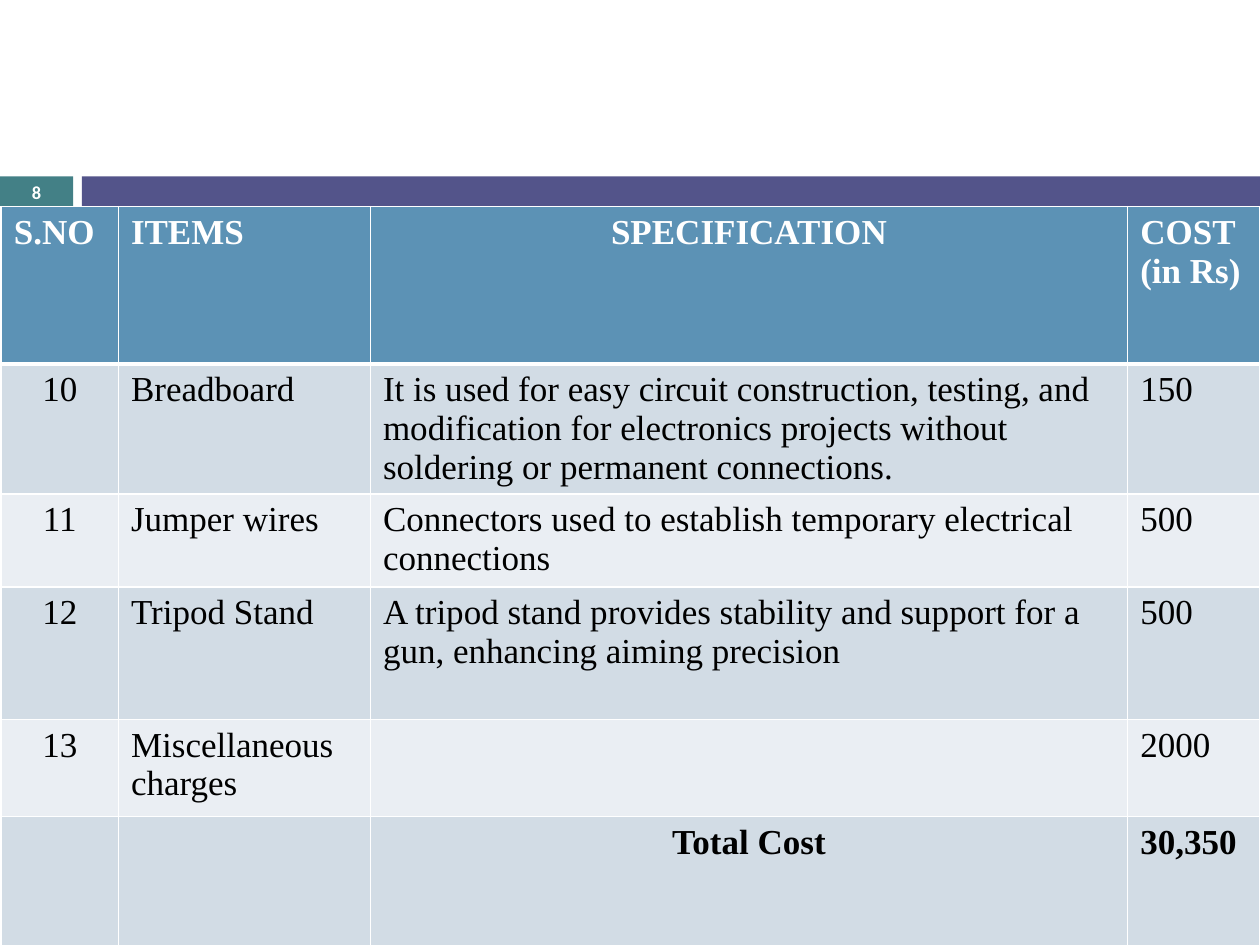
"""Build the cost table slide of a project budget."""
from dataclasses import dataclass

from lxml.etree import SubElement
from pptx import Presentation
from pptx.dml.color import RGBColor
from pptx.enum.shapes import MSO_SHAPE
from pptx.enum.text import MSO_ANCHOR, PP_ALIGN
from pptx.oxml.ns import qn
from pptx.util import Inches, Pt


@dataclass(frozen=True)
class Theme:
    """Colours, fonts and type sizes."""
    white: str = "FFFFFF"
    black: str = "000000"
    teal: str = "438086"
    purple: str = "53548A"
    header: str = "5C92B5"
    bands: tuple = ("D2DCE5", "EAEEF3")
    table_font: str = "Times New Roman"
    number_font: str = "Calibri"
    table_size: float = 20
    number_size: float = 10.5
    thin: float = 1
    thick: float = 3


class SlideBuilder:
    """Draw styled elements on the current slide."""

    def __init__(self, slide, theme):
        """Keep the slide and its style."""
        self.s = slide
        self.theme = theme

    def bar(self, left, top, width, height, color):
        """Add a plain filled rectangle."""
        sp = self.s.shapes.add_shape(
            MSO_SHAPE.RECTANGLE, Inches(left), Inches(top), Inches(width), Inches(height))
        sp.shadow.inherit = False
        sp.fill.solid()
        sp.fill.fore_color.rgb = RGBColor.from_string(color)
        sp.line.fill.background()

    def set_text(self, tf, text, font, size, color, bold, align):
        """Fill a text frame and format its runs."""
        tf.text = text
        for p in tf.paragraphs:
            p.alignment = align
            for r in p.runs:
                r.font.name = font
                r.font.size = Pt(size)
                r.font.bold = bold
                r.font.color.rgb = RGBColor.from_string(color)

    def slide_number(self, text, left, top, width, height):
        """Add the centred slide number."""
        sp = self.s.shapes.add_textbox(
            Inches(left), Inches(top), Inches(width), Inches(height))
        tf = sp.text_frame
        tf.word_wrap = True
        tf.vertical_anchor = MSO_ANCHOR.MIDDLE
        t = self.theme
        self.set_text(tf, text, t.number_font, t.number_size, t.white, True, PP_ALIGN.CENTER)

    def borders(self, cell, top, bottom):
        """Draw the four white borders of a cell."""
        t = self.theme
        tcPr = cell._tc.get_or_add_tcPr()
        widths = {"a:lnL": t.thin, "a:lnR": t.thin, "a:lnT": top, "a:lnB": bottom}
        for i, (tag, width) in enumerate(widths.items()):
            ln = SubElement(tcPr, qn(tag), w=str(Pt(width)))
            fill = SubElement(ln, qn("a:solidFill"))
            SubElement(fill, qn("a:srgbClr"), val=t.white)
            tcPr.insert(i, ln)

    def table(self, rows, left, top, widths, heights):
        """Add a table with a header, banded rows and a bold total."""
        t = self.theme
        table = self.s.shapes.add_table(
            len(rows), len(widths), Inches(left), Inches(top),
            Inches(sum(widths)), Inches(sum(heights))).table
        for column, width in zip(table.columns, widths):
            column.width = Inches(width)
        last = len(rows) - 1
        for i, (row, height) in enumerate(zip(rows, heights)):
            table.rows[i].height = Inches(height)
            edge = i in (0, last)
            for j, text in enumerate(row):
                cell = table.cell(i, j)
                cell.fill.solid()
                fill = t.bands[(i - 1) % 2] if i else t.header
                cell.fill.fore_color.rgb = RGBColor.from_string(fill)
                centred = j == 2 if edge else j == 0
                self.set_text(cell.text_frame, text, t.table_font, t.table_size,
                              t.black if i else t.white, edge,
                              PP_ALIGN.CENTER if centred else PP_ALIGN.LEFT)
                self.borders(cell, t.thick if i == 1 else t.thin,
                             t.thin if i else t.thick)


ROWS = [
    ("S.NO", "ITEMS", "SPECIFICATION", "COST\n(in Rs)"),
    ("10", "Breadboard",
     "It is used for easy circuit construction, testing, and modification for "
     "electronics projects without soldering or permanent connections.", "150"),
    ("11", "Jumper wires",
     "Connectors used to establish temporary electrical connections", "500"),
    ("12", "Tripod Stand",
     "A tripod stand provides stability and support for a gun, "
     "enhancing aiming precision", "500"),
    ("13", "Miscellaneous charges", "", "2000"),
    ("", "", "Total Cost", "30,350"),
]


def main():
    """Build and save the slide."""
    prs = Presentation()
    prs.slide_width, prs.slide_height = Inches(10), Inches(7.5)
    theme = Theme()
    s = SlideBuilder(prs.slides.add_slide(prs.slide_layouts[6]), theme)
    s.bar(0, 1.4, 0.58, 0.25, theme.teal)
    s.bar(0.65, 1.4, 9.35, 0.25, theme.purple)
    s.table(ROWS, 0.01, 1.64, (0.93, 2, 6.01, 1.05),
            (1.25, 1.03, 0.74, 1.05, 0.77, 1.16))
    s.slide_number("8", 0, 1.39, 0.58, 0.27)
    prs.save("out.pptx")


if __name__ == "__main__":
    main()
